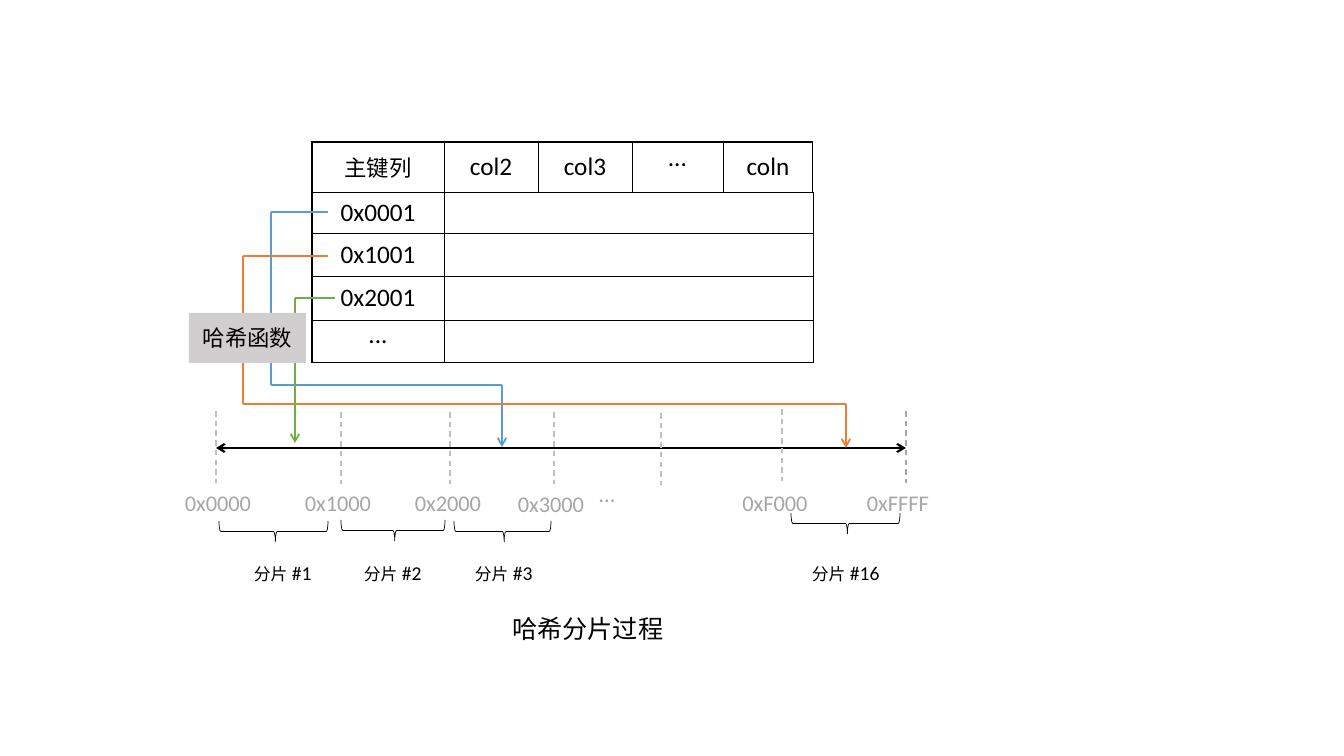
"""Build a slide that shows how hash sharding maps primary keys to shards."""
from itertools import pairwise
from pptx import Presentation
from pptx.dml.color import RGBColor
from pptx.enum import dml, shapes, text
from pptx.oxml import parse_xml
from pptx.oxml.ns import nsdecls
from pptx.util import Pt

PX = 914400 / 100.8
COLORS = {"ink": "000000", "tick": "BFBFBF", "label": "A6A6A6", "hash": "D0CECE",
          "blue": "5B9BD5", "orange": "ED7D31", "green": "70AD47"}
LATIN, CJK = "Calibri", "Noto Sans CJK SC"

CAPTION = "哈希分片过程"
HASH_FUNCTION = "哈希函数"
HEADERS = ["主键列", "col2", "col3", "...", "coln"]
KEYS = ["0x0001", "0x1001", "0x2001", "..."]
COLUMN_EDGES = [312, 444, 538, 632, 723, 813]
ROW_EDGES = [142, 192, 233, 276, 320, 363]
TICKS = [(216, 411, "tick"), (341, 412, "tick"), (450, 412, "tick"), (554, 412, "tick"),
         (661, 413, "tick"), (782, 409, "tick"), (906, 411, "label")]
LABELS = [("0x0000", 218, 484), ("0x1000", 338, 484), ("0x2000", 448, 484),
          ("0x3000", 551, 485), ("...", 607, 475), ("0xF000", 775, 484),
          ("0xFFFF", 898, 484)]
SHARDS = [("#1", 219, 328, 521, 244), ("#2", 341, 445, 520, 354),
          ("#3", 454, 551, 521, 465), ("#16", 791, 900, 513, 802)]
ROUTES = [("blue", [(328, 212), (271, 212), (271, 385), (502, 385), (502, 447)]),
          ("orange", [(328, 256), (243, 256), (243, 404), (846, 404), (846, 448)]),
          ("green", [(335, 298), (295, 298), (295, 443)])]


def px(*lengths):
    return [round(length * PX) for length in lengths]


def rgb(name):
    return RGBColor.from_string(COLORS[name])


def style(paragraph, size, color="ink", font=LATIN, align=text.PP_ALIGN.CENTER):
    paragraph.alignment = align
    paragraph.font.size = Pt(size)
    paragraph.font.name = font
    paragraph.font.color.rgb = rgb(color)


def add_label(slide, box):
    frame = slide.shapes.add_textbox(*px(*box)).text_frame
    frame.word_wrap = True
    return frame.paragraphs[0]


def add_line(slide, start, end, color, width, arrows=(), dashed=False):
    line = slide.shapes.add_connector(shapes.MSO_CONNECTOR.STRAIGHT, *px(*start, *end))
    line.line.color.rgb = rgb(color)
    line.line.width = Pt(width)
    if dashed:
        line.line.dash_style = dml.MSO_LINE.DASH
    outline = line.line._get_or_add_ln()
    for side in arrows:
        outline.append(parse_xml(f'<a:{side} {nsdecls("a")} type="arrow"/>'))
    line._element.spPr.append(parse_xml(f'<a:effectLst {nsdecls("a")}/>'))


def set_borders(cell, row, column, last):
    outer = {"lnL": column == 0, "lnR": column == last,
             "lnT": row == 0, "lnB": row == last}
    properties = cell._tc.get_or_add_tcPr()
    for index, (side, is_outer) in enumerate(outer.items()):
        width = Pt(1 if is_outer else 0.5)
        properties.insert(index, parse_xml(
            f'<a:{side} {nsdecls("a")} w="{width}"><a:solidFill>'
            f'<a:srgbClr val="{COLORS["ink"]}"/></a:solidFill></a:{side}>'))


def add_key_table(slide):
    left, top = COLUMN_EDGES[0], ROW_EDGES[0]
    box = px(left, top, COLUMN_EDGES[-1] - left, ROW_EDGES[-1] - top)
    table = slide.shapes.add_table(len(KEYS) + 1, len(HEADERS), *box).table
    table.first_row = table.horz_banding = False
    for column, (start, end) in zip(table.columns, pairwise(COLUMN_EDGES)):
        column.width = px(end - start)[0]
    for row, (start, end) in zip(table.rows, pairwise(ROW_EDGES)):
        row.height = px(end - start)[0]
    blanks = [""] * (len(HEADERS) - 1)
    last = len(HEADERS) - 1
    for r, values in enumerate([HEADERS] + [[key] + blanks for key in KEYS]):
        for c, value in enumerate(values):
            cell = table.cell(r, c)
            cell.text = value
            cell.margin_left = cell.margin_right = cell.margin_top = cell.margin_bottom = 0
            cell.vertical_anchor = (text.MSO_ANCHOR.TOP if value == "..."
                                    else text.MSO_ANCHOR.MIDDLE)
            style(cell.text_frame.paragraphs[0], 16 if value == HEADERS[0] else 18)
            cell.fill.background()
            set_borders(cell, r, c, last)
        if r:
            table.cell(r, 1).merge(table.cell(r, last))


def add_shard(slide, number, left, right, top, label_left):
    span, depth = right - left, 21
    center_x, center_y = (left + right) / 2, top + depth / 2
    brace = slide.shapes.add_shape(
        shapes.MSO_SHAPE.RIGHT_BRACE,
        *px(center_x - depth / 2, center_y - span / 2, depth, span))
    brace.rotation = 90
    brace.adjustments[0], brace.adjustments[1] = 0.083, 0.483
    brace.shadow.inherit = False
    brace.fill.background()
    brace.line.color.rgb = rgb("ink")
    brace.line.width = Pt(0.5)
    label = add_label(slide, (label_left, 556, 104, 34))
    style(label, 14, align=text.PP_ALIGN.LEFT)
    word = label.add_run()
    word.text = "分片"
    word.font.size = Pt(12)
    label.add_run().text = f" {number}"


def add_hash_function(slide):
    box = slide.shapes.add_shape(shapes.MSO_SHAPE.RECTANGLE, *px(189, 313, 117, 50))
    box.shadow.inherit = False
    box.fill.solid()
    box.fill.fore_color.rgb = rgb("hash")
    box.line.fill.background()
    box.text_frame.text = HASH_FUNCTION
    box.text_frame.vertical_anchor = text.MSO_ANCHOR.MIDDLE
    style(box.text_frame.paragraphs[0], 16, font=CJK)


def add_caption(slide):
    title = slide.shapes.title
    title.left, title.top, title.width, title.height = px(502, 608, 193, 40)
    title.text_frame.text = CAPTION
    title.text_frame.vertical_anchor = text.MSO_ANCHOR.TOP
    style(title.text_frame.paragraphs[0], 18, font=CJK, align=text.PP_ALIGN.LEFT)


def main():
    deck = Presentation()
    deck.slide_width, deck.slide_height = px(1344, 756)
    slide = deck.slides.add_slide(deck.slide_layouts[5])
    add_caption(slide)
    add_key_table(slide)
    add_line(slide, (216, 448), (906, 448), "ink", 1.5, ("headEnd", "tailEnd"))
    for x, top, color in TICKS:
        add_line(slide, (x, top), (x, top + 72), color, 1, dashed=True)
    for value, center, top in LABELS:
        label = add_label(slide, (center - 51, top, 102, 37))
        label.text = value
        style(label, 16, "label")
    for shard in SHARDS:
        add_shard(slide, *shard)
    for color, points in ROUTES:
        for start, end in pairwise(points):
            arrows = ("tailEnd",) if end == points[-1] else ()
            add_line(slide, start, end, color, 1.25, arrows)
    add_hash_function(slide)
    deck.save("out.pptx")


if __name__ == "__main__":
    main()
